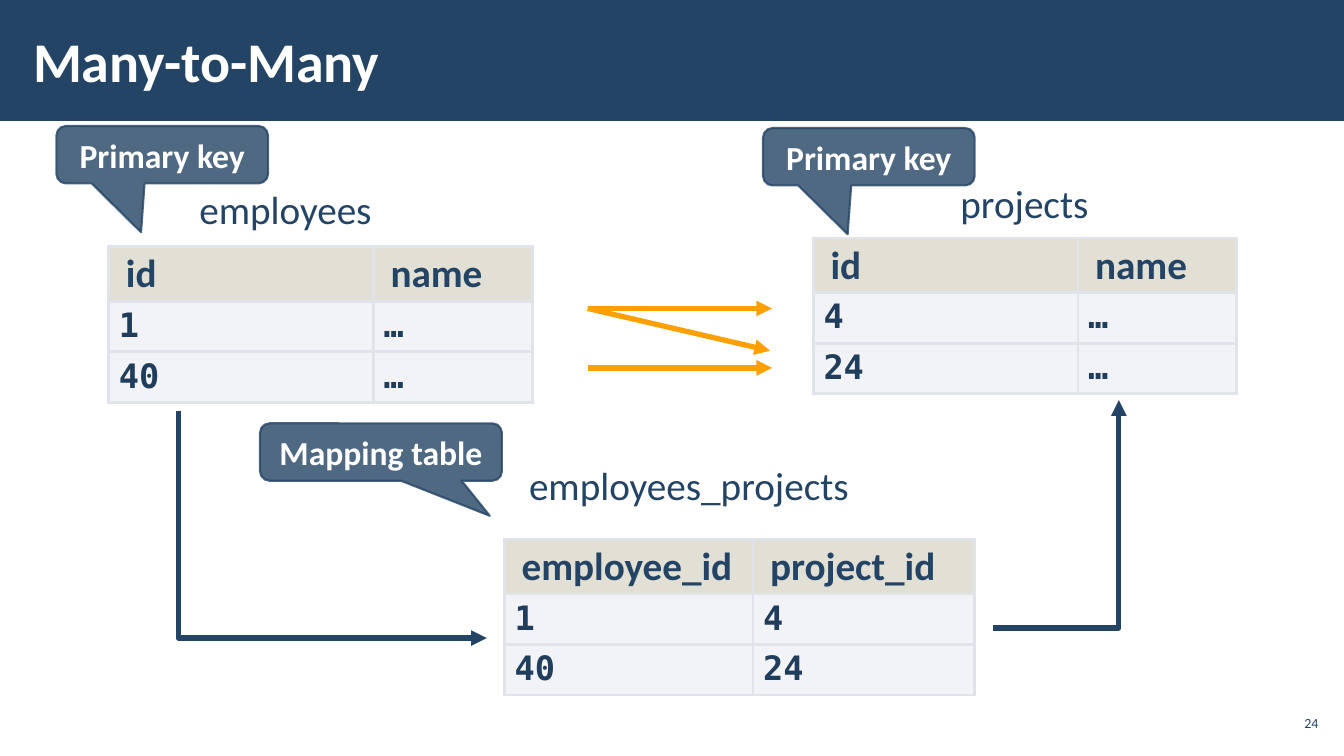
"""Build a slide showing a many-to-many relation through a mapping table."""
from dataclasses import dataclass

from lxml import etree
from pptx import Presentation
from pptx.dml.color import RGBColor
from pptx.enum.shapes import MSO_CONNECTOR, MSO_SHAPE
from pptx.enum.text import MSO_ANCHOR, MSO_AUTO_SIZE, PP_ALIGN
from pptx.oxml.ns import qn
from pptx.util import Pt

RECTANGLE = MSO_SHAPE.RECTANGLE
CALLOUT = MSO_SHAPE.ROUNDED_RECTANGULAR_CALLOUT
STRAIGHT = MSO_CONNECTOR.STRAIGHT
MIDDLE = MSO_ANCHOR.MIDDLE
TOP = MSO_ANCHOR.TOP
LEFT, CENTER, RIGHT = PP_ALIGN.LEFT, PP_ALIGN.CENTER, PP_ALIGN.RIGHT
FIT_SHAPE = MSO_AUTO_SIZE.SHAPE_TO_FIT_TEXT

COLORS = {
    "navy": "234465",
    "body": "203D5B",
    "white": "FFFFFF",
    "orange": "FFA000",
    "header_fill": "C6C0AA",
    "body_fill": "C2C7D2",
    "border": "E0E3E9",
}
SANS = "Calibri"
MONO = "DejaVu Sans Mono"
ROW_HEIGHTS = (39, 36, 36)


@dataclass
class Label:
    text: str
    box: tuple[float, float, float, float]
    size: float = 28
    color: str = "navy"
    bold: bool = False
    align: PP_ALIGN = LEFT
    anchor: MSO_ANCHOR = TOP
    insets: tuple[float, float] = (7.2, 3.6)
    wrap: bool = False


@dataclass
class Callout:
    text: str
    box: tuple[float, float, float, float]
    tip: tuple[float, float]


@dataclass
class Arrow:
    start: tuple[float, float]
    end: tuple[float, float]
    color: str = "orange"
    bent: bool = False
    rotation: int = 0


@dataclass
class Relation:
    left: float
    top: float
    widths: tuple[float, float]
    rows: tuple[tuple[str, str], ...]


LABELS = (
    Label("Many-to-Many", (15.12, 7.92, 748, 69.84), 40, "white", True,
          anchor=MIDDLE, insets=(8.5, 2.88), wrap=True),
    Label("24", (910.8, 504, 33.84, 24.48), 10, align=RIGHT,
          anchor=MIDDLE, insets=(2.88, 2.88), wrap=True),
    Label("employees", (135.36, 128.88, 138.96, 41.04)),
    Label("projects", (678.96, 124.56, 107.28, 41.04)),
    Label("employees_projects", (370.8, 326.16, 245.52, 41.04)),
)
CALLOUTS = (
    Callout("Primary key", (40.32, 90, 151.2, 41.04), (-0.1, 1.35)),
    Callout("Primary key", (545.04, 91.44, 151.2, 41.04), (-0.1, 1.35)),
    Callout("Mapping table", (185.76, 302.4, 172.8, 41.04), (0.45, 1.11)),
)
ARROWS = (
    Arrow((419.76, 220.32), (551.52, 220.32)),
    Arrow((419.76, 262.8), (551.52, 262.8)),
    Arrow((419.76, 220.32), (550.08, 250.56)),
    Arrow((318.6, 264.6), (156.6, 484.92), "navy", True, 270),
    Arrow((709.2, 448.56), (799.2, 285.84), "navy", True),
)
RELATIONS = (
    Relation(77.76, 176.04, (189, 113.4), (("id", "name"), ("1", "…"), ("40", "…"))),
    Relation(360.36, 385.2, (177.48, 158.4),
             (("employee_id", "project_id"), ("1", "4"), ("40", "24"))),
    Relation(581.04, 169.92, (189, 113.4), (("id", "name"), ("4", "…"), ("24", "…"))),
)


def rgb(name: str) -> RGBColor:
    return RGBColor.from_string(COLORS[name])


def format_runs(paragraph, size: float, color: str, bold: bool, font: str = SANS) -> None:
    for run in paragraph.runs:
        run.font.name = font
        run.font.size = Pt(size)
        run.font.bold = bold
        run.font.color.rgb = rgb(color)


def set_opacity(element, percent: int) -> None:
    for color in element.iter(qn("a:srgbClr")):
        etree.SubElement(color, qn("a:alpha"), val=str(percent * 1000))


def add_banner(slide) -> None:
    banner = slide.shapes.add_shape(RECTANGLE, 0, 0, Pt(960), Pt(86.4))
    banner.shadow.inherit = False
    banner.fill.solid()
    banner.fill.fore_color.rgb = rgb("navy")
    banner.line.fill.background()


def add_label(slide, label: Label) -> None:
    frame = slide.shapes.add_textbox(*map(Pt, label.box)).text_frame
    frame.text = label.text
    frame.word_wrap = label.wrap
    if not label.wrap:
        frame.auto_size = FIT_SHAPE
    frame.vertical_anchor = label.anchor
    frame.margin_left = frame.margin_right = Pt(label.insets[0])
    frame.margin_top = frame.margin_bottom = Pt(label.insets[1])
    paragraph = frame.paragraphs[0]
    paragraph.alignment = label.align
    format_runs(paragraph, label.size, label.color, label.bold)


def add_callout(slide, callout: Callout) -> None:
    shape = slide.shapes.add_shape(CALLOUT, *map(Pt, callout.box))
    shape.shadow.inherit = False
    for index, value in enumerate((*callout.tip, 0.167)):
        shape.adjustments[index] = value
    shape.fill.solid()
    shape.fill.fore_color.rgb = rgb("navy")
    shape.line.color.rgb = rgb("navy")
    shape.line.width = Pt(1.5)
    set_opacity(shape._element.spPr, 80)
    frame = shape.text_frame
    frame.text = callout.text
    frame.word_wrap = True
    frame.vertical_anchor = MIDDLE
    frame.paragraphs[0].alignment = CENTER
    format_runs(frame.paragraphs[0], 24, "white", True)


def add_arrow(slide, arrow: Arrow) -> None:
    connector = slide.shapes.add_connector(STRAIGHT, *map(Pt, arrow.start + arrow.end))
    connector.line.color.rgb = rgb(arrow.color)
    connector.line.width = Pt(3.75)
    properties = connector._element.spPr
    if arrow.bent:
        properties.find(qn("a:prstGeom")).set("prst", "bentConnector2")
        properties.find(qn("a:xfrm")).set("rot", str(arrow.rotation * 60000))
    etree.SubElement(properties.find(qn("a:ln")), qn("a:tailEnd"), type="triangle")
    etree.SubElement(properties, qn("a:effectLst"))


def add_borders(cell_properties) -> None:
    for index, side in enumerate(("lnL", "lnR", "lnT", "lnB")):
        line = etree.Element(qn(f"a:{side}"), w=str(Pt(2.25)))
        fill = etree.SubElement(line, qn("a:solidFill"))
        etree.SubElement(fill, qn("a:srgbClr"), val=COLORS["border"])
        cell_properties.insert(index, line)


def format_cell(cell, text: str, header: bool) -> None:
    cell.text = text
    paragraph = cell.text_frame.paragraphs[0]
    cell.fill.solid()
    cell.fill.fore_color.rgb = rgb("header_fill" if header else "body_fill")
    if header:
        cell.margin_left = cell.margin_right = Pt(12.24)
        paragraph.line_spacing = 0.95
        format_runs(paragraph, 28, "navy", True)
    else:
        format_runs(paragraph, 24, "body", True, MONO)
    cell_properties = cell._tc.get_or_add_tcPr()
    set_opacity(cell_properties, 50 if header else 20)
    add_borders(cell_properties)


def add_relation(slide, relation: Relation) -> None:
    box = (relation.left, relation.top, sum(relation.widths), sum(ROW_HEIGHTS))
    table = slide.shapes.add_table(len(ROW_HEIGHTS), 2, *map(Pt, box)).table
    table.horz_banding = False
    for column, width in zip(table.columns, relation.widths):
        column.width = Pt(width)
    for index, (row, texts) in enumerate(zip(table.rows, relation.rows)):
        row.height = Pt(ROW_HEIGHTS[index])
        for cell, text in zip(row.cells, texts):
            format_cell(cell, text, index == 0)


def main() -> None:
    presentation = Presentation()
    presentation.slide_width, presentation.slide_height = Pt(960), Pt(540)
    slide = presentation.slides.add_slide(presentation.slide_layouts[6])
    add_banner(slide)
    for items, draw in ((LABELS, add_label), (ARROWS, add_arrow),
                        (CALLOUTS, add_callout), (RELATIONS, add_relation)):
        for item in items:
            draw(slide, item)
    presentation.save("out.pptx")


if __name__ == "__main__":
    main()
